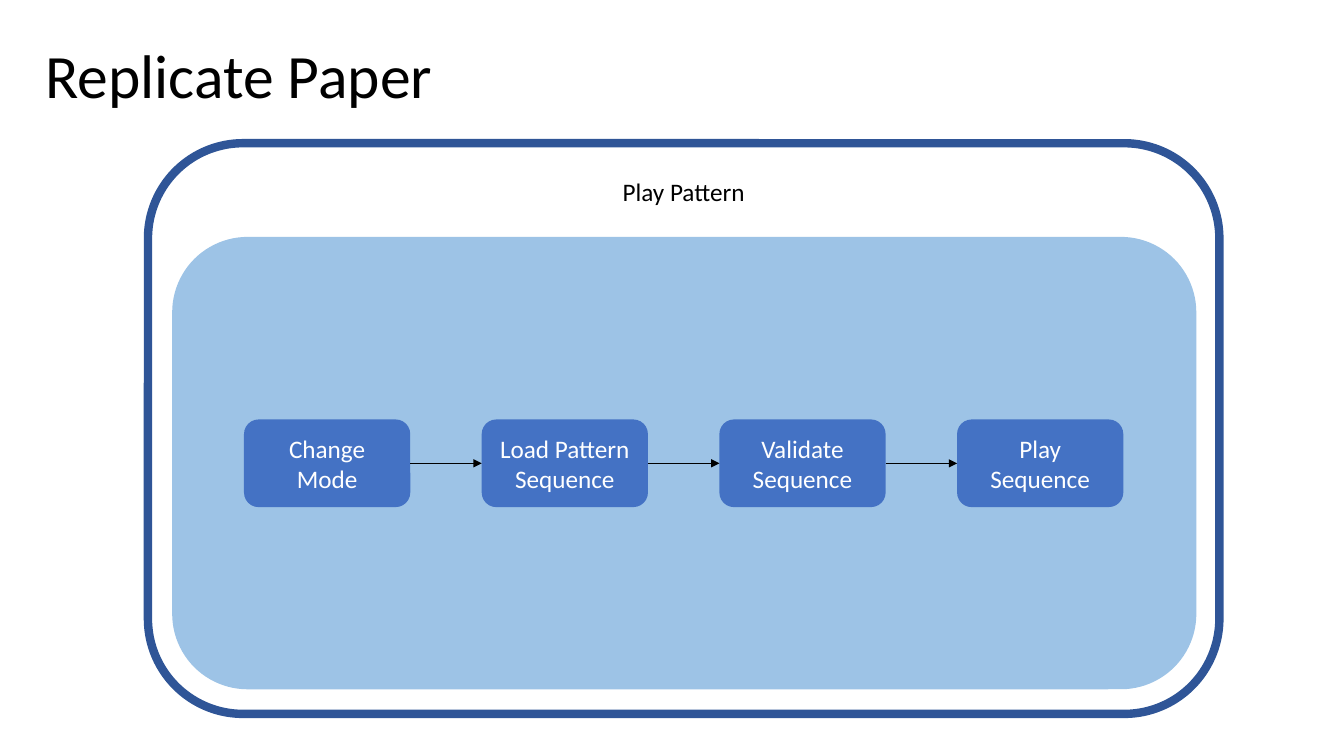
from dataclasses import dataclass

import pptx
import pptx.dml.color
import pptx.enum.shapes
import pptx.enum.text
import pptx.oxml
import pptx.oxml.ns
import pptx.presentation
import pptx.shapes.autoshape
import pptx.slide
import pptx.text.text
import pptx.util

BLACK = pptx.dml.color.RGBColor(0x00, 0x00, 0x00)
WHITE = pptx.dml.color.RGBColor(0xFF, 0xFF, 0xFF)
FRAME_BLUE = pptx.dml.color.RGBColor(0x2F, 0x55, 0x97)
PANEL_BLUE = pptx.dml.color.RGBColor(0x9D, 0xC3, 0xE6)
STEP_BLUE = pptx.dml.color.RGBColor(0x44, 0x72, 0xC4)

FONT_NAME = "Calibri"
STEP_LEFT, STEP_TOP = 6.15, 10.57
STEP_WIDTH, STEP_HEIGHT = 4.19, 2.21
STEP_PITCH = 5.99
LEFT_SITE, RIGHT_SITE = 1, 3


@dataclass(frozen=True)
class RoundedBox:
    left: float
    top: float
    width: float
    height: float
    fill: pptx.dml.color.RGBColor
    lines: tuple[str, ...] = ()
    text_color: pptx.dml.color.RGBColor = WHITE
    anchor: pptx.enum.text.MSO_ANCHOR = pptx.enum.text.MSO_ANCHOR.MIDDLE
    outline: pptx.dml.color.RGBColor | None = None
    outline_width: float = 0


FRAME = RoundedBox(
    3.73, 3.61, 27, 14.38, WHITE, ("Play Pattern",), BLACK,
    pptx.enum.text.MSO_ANCHOR.TOP, FRAME_BLUE, 6,
)
PANEL = RoundedBox(4.34, 5.97, 25.81, 11.4, PANEL_BLUE)
STEP_LABELS = (
    ("Change", "Mode"),
    ("Load Pattern", "Sequence"),
    ("Validate", "Sequence"),
    ("Play", "Sequence"),
)
STEPS = [
    RoundedBox(STEP_LEFT + index * STEP_PITCH, STEP_TOP, STEP_WIDTH, STEP_HEIGHT, STEP_BLUE, label)
    for index, label in enumerate(STEP_LABELS)
]


def add_text_run(
    paragraph: pptx.text.text._Paragraph, text: str, size: float, color: pptx.dml.color.RGBColor
) -> None:
    run = paragraph.add_run()
    run.text = text
    run.font.name = FONT_NAME
    run.font.size = pptx.util.Pt(size)
    run.font.color.rgb = color


def add_title(slide: pptx.slide.Slide, text: str) -> None:
    title = slide.shapes.title
    title.left, title.top = pptx.util.Cm(0.89), pptx.util.Cm(0.15)
    title.width, title.height = pptx.util.Cm(29.21), pptx.util.Cm(3.68)
    title.text_frame.vertical_anchor = pptx.enum.text.MSO_ANCHOR.MIDDLE
    paragraph = title.text_frame.paragraphs[0]
    paragraph.alignment = pptx.enum.text.PP_ALIGN.LEFT
    paragraph.line_spacing = 0.9
    add_text_run(paragraph, text, 44, BLACK)


def add_rounded_box(slide: pptx.slide.Slide, box: RoundedBox) -> pptx.shapes.autoshape.Shape:
    shape = slide.shapes.add_shape(
        pptx.enum.shapes.MSO_SHAPE.ROUNDED_RECTANGLE,
        pptx.util.Cm(box.left), pptx.util.Cm(box.top),
        pptx.util.Cm(box.width), pptx.util.Cm(box.height),
    )
    shape.shadow.inherit = False
    shape.fill.solid()
    shape.fill.fore_color.rgb = box.fill
    if box.outline is None:
        shape.line.fill.background()
    else:
        shape.line.color.rgb = box.outline
        shape.line.width = pptx.util.Pt(box.outline_width)
    text_frame = shape.text_frame
    text_frame.word_wrap = True
    text_frame.vertical_anchor = box.anchor
    for index, line in enumerate(box.lines):
        paragraph = text_frame.add_paragraph() if index else text_frame.paragraphs[0]
        paragraph.alignment = pptx.enum.text.PP_ALIGN.CENTER
        add_text_run(paragraph, line, 18, box.text_color)
    return shape


def add_arrow(
    slide: pptx.slide.Slide,
    source: pptx.shapes.autoshape.Shape,
    target: pptx.shapes.autoshape.Shape,
) -> None:
    connector = slide.shapes.add_connector(pptx.enum.shapes.MSO_CONNECTOR.STRAIGHT, 0, 0, 0, 0)
    connector.begin_connect(source, RIGHT_SITE)
    connector.end_connect(target, LEFT_SITE)
    connector.line.color.rgb = BLACK
    connector.line.width = pptx.util.Pt(0.5)
    arrowhead = pptx.oxml.parse_xml(
        f'<a:tailEnd {pptx.oxml.ns.nsdecls("a")} type="triangle"/>'
    )
    connector.line._get_or_add_ln().append(arrowhead)
    no_effects = pptx.oxml.parse_xml(f'<a:effectLst {pptx.oxml.ns.nsdecls("a")}/>')
    connector._element.spPr.append(no_effects)


def build_presentation() -> pptx.presentation.Presentation:
    presentation = pptx.Presentation()
    presentation.slide_width = pptx.util.Cm(33.87)
    presentation.slide_height = pptx.util.Cm(19.05)
    slide = presentation.slides.add_slide(presentation.slide_layouts.get_by_name("Title Only"))
    add_title(slide, "Replicate Paper")
    add_rounded_box(slide, FRAME)
    add_rounded_box(slide, PANEL)
    step_shapes = [add_rounded_box(slide, step) for step in STEPS]
    for source, target in zip(step_shapes, step_shapes[1:]):
        add_arrow(slide, source, target)
    return presentation


if __name__ == "__main__":
    build_presentation().save("out.pptx")
